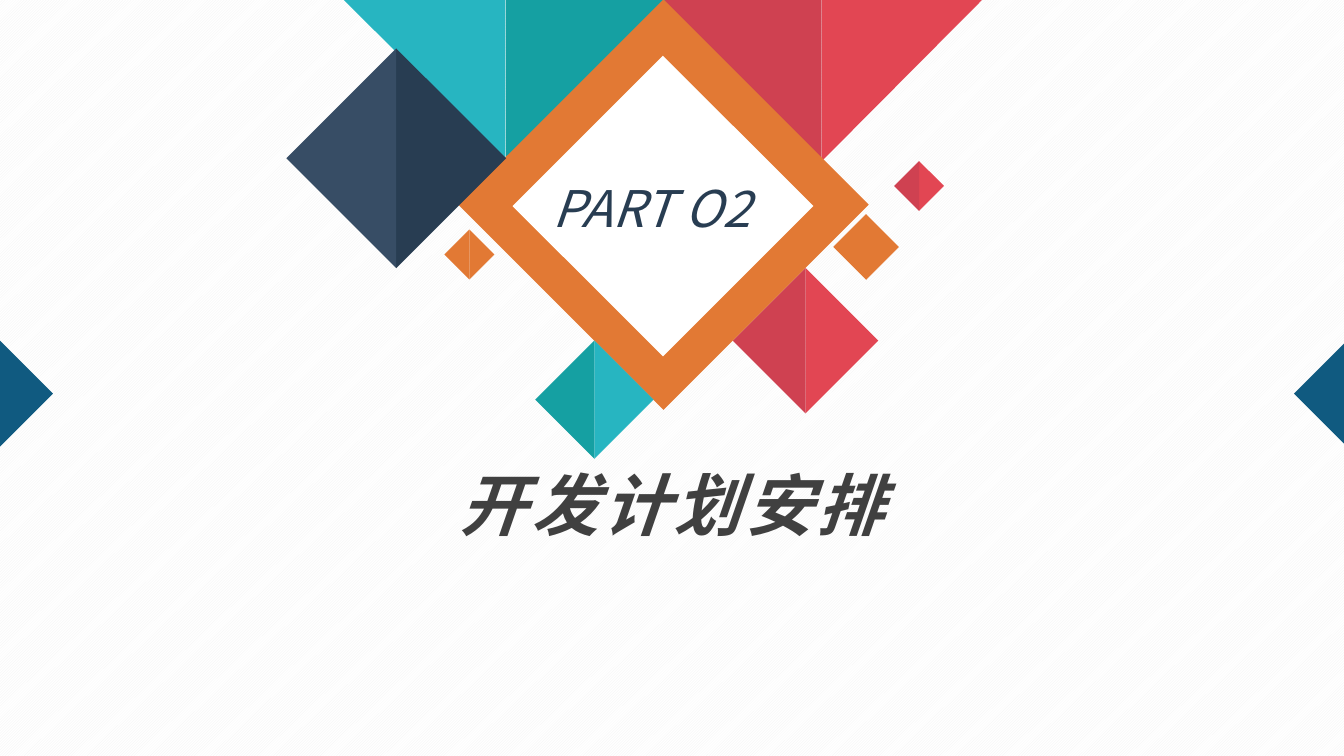
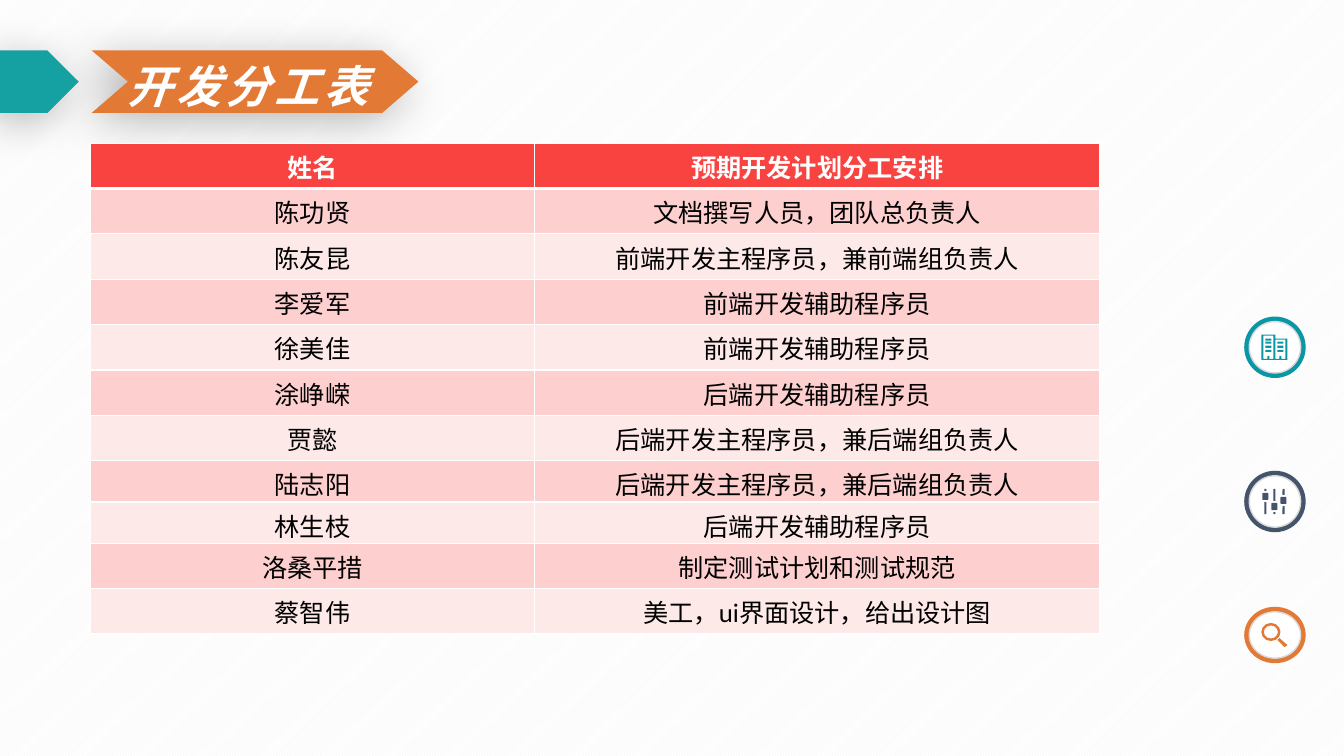
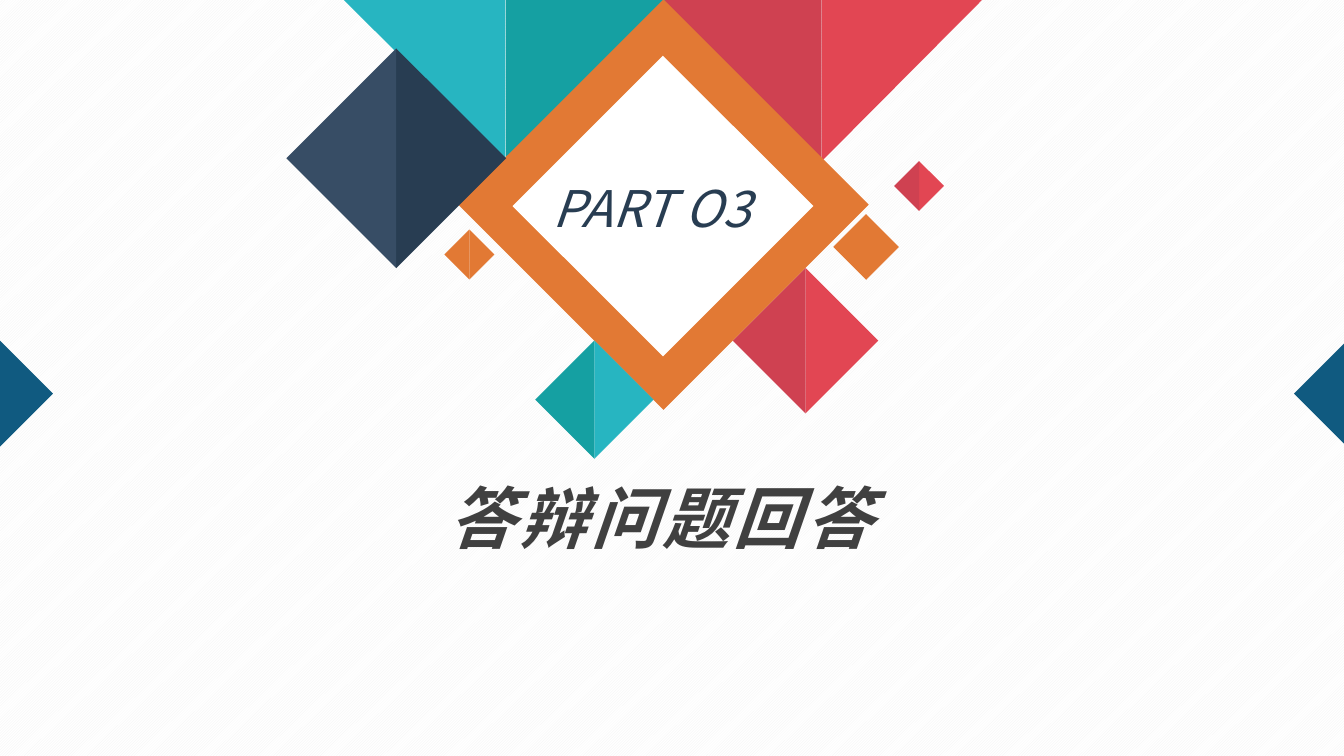
from dataclasses import dataclass

from lxml import etree
from pptx import Presentation
from pptx.dml.color import RGBColor
from pptx.enum.dml import MSO_PATTERN
from pptx.enum.shapes import MSO_SHAPE
from pptx.enum.text import MSO_ANCHOR, MSO_AUTO_SIZE, PP_ALIGN
from pptx.oxml.ns import qn
from pptx.util import Inches, Pt

RECT, TRIANGLE, OVAL = MSO_SHAPE.RECTANGLE, MSO_SHAPE.RIGHT_TRIANGLE, MSO_SHAPE.OVAL
ROUNDED, DONUT = MSO_SHAPE.ROUNDED_RECTANGLE, MSO_SHAPE.DONUT
CHEVRON, PENTAGON = MSO_SHAPE.CHEVRON, MSO_SHAPE.PENTAGON
LEFT, CENTER = PP_ALIGN.LEFT, PP_ALIGN.CENTER
TOP, GROW = MSO_ANCHOR.TOP, MSO_AUTO_SIZE.SHAPE_TO_FIT_TEXT
TITLE_ONLY = 5
# Rotations that turn the right angle of a triangle to a given side
FACE_LEFT, FACE_RIGHT, FACE_TOP_LEFT, FACE_TOP_RIGHT = 45, 225, 90, 180


@dataclass(frozen=True)
class Theme:
    white: str = "FFFFFF"
    black: str = "000000"
    stripe: str = "F2F2F2"
    heading: str = "404040"
    orange: str = "E27934"
    teal: str = "15A0A2"
    aqua: str = "27B5C1"
    red: str = "E24653"
    crimson: str = "CF4151"
    navy: str = "283D52"
    slate: str = "374D65"
    blue: str = "105A80"
    icon_teal: str = "0A96A4"
    icon_gray: str = "44546A"
    ring: str = "D9D9D9"
    table_head: str = "F94341"
    table_bands: tuple = ("FDCFCF", "FEE9E9")
    font: str = "Noto Sans CJK SC"
    table_font: str = "Lato"
    section_size: int = 48
    part_size: int = 36
    title_size: int = 32
    table_size: int = 18


T = Theme()

DUTIES = [
    ("姓名", "预期开发计划分工安排"),
    ("陈功贤", "文档撰写人员，团队总负责人"),
    ("陈友昆", "前端开发主程序员，兼前端组负责人"),
    ("李爱军", "前端开发辅助程序员"),
    ("徐美佳", "前端开发辅助程序员"),
    ("涂峥嵘", "后端开发辅助程序员"),
    ("贾懿", "后端开发主程序员，兼后端组负责人"),
    ("陆志阳", "后端开发主程序员，兼后端组负责人"),
    ("林生枝", "后端开发辅助程序员"),
    ("洛桑平措", "制定测试计划和测试规范"),
    ("蔡智伟", "美工，ui界面设计，给出设计图"),
]


def rgb(color):
    return RGBColor.from_string(color)


def paint(sp, fill, line=None):
    sp.shadow.inherit = False
    sp.fill.solid()
    sp.fill.fore_color.rgb = rgb(fill)
    if line:
        sp.line.color.rgb = rgb(line)
        sp.line.width = Pt(1)
    else:
        sp.line.fill.background()


def add_shape(shapes, kind, x, y, w, h, fill, line=None, rotation=0, adj=None):
    sp = shapes.add_shape(kind, Inches(x), Inches(y), Inches(w), Inches(h))
    sp.rotation = rotation
    if adj is not None:
        sp.adjustments[0] = adj
    paint(sp, fill, line)
    return sp


def add_outline(shapes, x, y, contours, fill):
    """Draw closed contours as one freeform; nested contours become holes."""
    builder = None
    for contour in contours:
        pts = [(Inches(x + px), Inches(y + py)) for px, py in contour]
        if builder is None:
            builder = shapes.build_freeform(*pts[0], scale=1.0)
        else:
            builder.move_to(*pts[0])
        builder.add_line_segments(pts[1:], close=True)
    paint(builder.convert_to_shape(), fill)


def write(tf, text, size, color, font=T.font, bold=False, italic=False,
          spacing=None, align=LEFT):
    p = tf.paragraphs[0]
    p.alignment = align
    r = p.add_run()
    r.text = text
    f = r.font
    f.name, f.size, f.bold, f.italic = font, Pt(size), bold, italic
    f.color.rgb = rgb(color)
    rPr = r._r.get_or_add_rPr()
    if spacing:
        rPr.set("spc", str(spacing * 100))
    ea = etree.Element(qn("a:ea"), typeface=T.font)
    rPr.find(qn("a:latin")).addnext(ea)


def place_title(s, text, x, y, w, h, size, color):
    """Format the title placeholder and bring it to the front."""
    sp = s.shapes.title
    sp.left, sp.top, sp.width, sp.height = map(Inches, (x, y, w, h))
    tf = sp.text_frame
    tf.word_wrap, tf.auto_size, tf.vertical_anchor = False, GROW, TOP
    write(tf, text, size, color, bold=True, italic=True, spacing=3)
    sp._element.getparent().append(sp._element)


def add_shadow(sp):
    effects = sp._element.spPr.find(qn("a:effectLst"))
    shadow = etree.SubElement(effects, qn("a:outerShdw"), blurRad=str(Pt(32)),
                              dist=str(Pt(8)), dir=str(135 * 60000),
                              algn="tr", rotWithShape="0")
    color = etree.SubElement(shadow, qn("a:srgbClr"), val=T.black)
    etree.SubElement(color, qn("a:alpha"), val="27000")


def add_diamond(shapes, x, y, size, left, right):
    """Two triangles, side by side, that fill a square stood on its corner."""
    for fill, rotation in ((right, FACE_RIGHT), (left, FACE_LEFT)):
        if fill:
            add_shape(shapes, TRIANGLE, x, y, size, size, fill, rotation=rotation)


def add_top_wedge(shapes, x, left, right):
    w, h = 1.6, 1.59
    add_shape(shapes, TRIANGLE, x + w, 0, w, h, right, rotation=FACE_TOP_LEFT)
    add_shape(shapes, TRIANGLE, x, 0, w, h, left, rotation=FACE_TOP_RIGHT)


def add_mosaic(s):
    g = s.shapes.add_group_shape().shapes
    add_diamond(g, 8.94, 1.67, 0.35, T.crimson, T.red)
    add_top_wedge(g, 6.55, T.crimson, T.red)
    add_top_wedge(g, 3.41, T.aqua, T.teal)
    add_shape(g, RECT, 5.14, 0.59, 2.88, 2.88, T.orange, rotation=45)
    add_shape(g, RECT, 5.52, 0.99, 2.11, 2.11, T.white, rotation=45)
    for diamond in ((3.16, 0.8, 1.54, T.slate, T.navy),
                    (8.36, 2.22, 0.46, T.orange, T.orange),
                    (7.48, 2.87, 1.02, T.crimson, T.red),
                    (5.48, 3.55, 0.83, T.teal, T.aqua),
                    (4.48, 2.35, 0.35, T.orange, T.orange),
                    (-0.38, 3.53, 0.75, None, T.blue),
                    (12.99, 3.53, 0.75, T.blue, None)):
        add_diamond(g, *diamond)


def section_slide(prs, part, title, x, y):
    s = prs.slides.add_slide(prs.slide_layouts[TITLE_ONLY])
    add_mosaic(s)
    place_title(s, title, x, y, 4.48, 0.91, T.section_size, T.heading)
    box = s.shapes.add_textbox(Inches(5.38), Inches(1.71), Inches(2.38), Inches(0.71))
    tf = box.text_frame
    tf.word_wrap, tf.auto_size = True, GROW
    write(tf, part, T.part_size, T.navy, italic=True)


def add_banner(s, title, y, h):
    add_shadow(add_shape(s.shapes, CHEVRON, 0.91, y, 3.24, h, T.orange, adj=0.58))
    add_shadow(add_shape(s.shapes, PENTAGON, 0, y, 0.78, h, T.teal, adj=0.5))
    place_title(s, title, 1.16, y + 0.03, 2.64, 0.64, T.title_size, T.white)


def set_borders(cell, top, bottom):
    tcPr = cell._tc.get_or_add_tcPr()
    for side, width in (("L", 1), ("R", 1), ("T", top), ("B", bottom)):
        ln = etree.SubElement(tcPr, qn("a:ln" + side), w=str(Pt(width)))
        fill = etree.SubElement(ln, qn("a:solidFill"))
        etree.SubElement(fill, qn("a:srgbClr"), val=T.white)


def add_duty_table(s, x, y):
    widths = (4.4, 5.61)
    heights = [0.41 if i in (7, 8) else 0.45 for i in range(len(DUTIES))]
    table = s.shapes.add_table(len(DUTIES), len(widths), Inches(x), Inches(y),
                               Inches(sum(widths)), Inches(sum(heights))).table
    for column, width in zip(table.columns, widths):
        column.width = Inches(width)
    for i, (row, texts) in enumerate(zip(table.rows, DUTIES)):
        row.height = Inches(heights[i])
        head = i == 0
        for cell, text in zip(row.cells, texts):
            cell.margin_top, cell.margin_bottom = Inches(0.05), 0
            cell.vertical_anchor = TOP
            set_borders(cell, top=3 if i == 1 else 1, bottom=3 if head else 1)
            cell.fill.solid()
            cell.fill.fore_color.rgb = rgb(T.table_head if head else T.table_bands[(i - 1) % 2])
            write(cell.text_frame, text, T.table_size, T.white if head else T.black,
                  font=T.table_font, bold=head, align=CENTER)


def box_contour(x, y, w, h):
    return [(x, y), (x + w, y), (x + w, y + h), (x, y + h)]


def tower_contour(x, top):
    """Inside wall of a tower, with a doorway cut into its foot."""
    return [(x, top), (x, 0.24), (x + 0.04, 0.24), (x + 0.04, 0.21),
            (x + 0.06, 0.21), (x + 0.06, 0.24), (x + 0.1, 0.24), (x + 0.1, top)]


def draw_buildings(shapes, x, y, color):
    walls = [(0, 0), (0.14, 0), (0.14, 0.04), (0.26, 0.04), (0.26, 0.25), (0, 0.25)]
    windows = [(0.04, wy) for wy in (0.04, 0.07, 0.11, 0.15)]
    windows += [(0.16, wy) for wy in (0.07, 0.11, 0.15)]
    contours = [walls, tower_contour(0.02, 0.01), tower_contour(0.14, 0.05)]
    contours += [box_contour(wx, wy, 0.06, 0.02) for wx, wy in windows]
    add_outline(shapes, x, y, contours, color)


def draw_sliders(shapes, x, y, color):
    for i, knob in enumerate((0.04, 0.14, 0.08)):
        left = x + 0.09 * i
        add_shape(shapes, ROUNDED, left, y + knob, 0.06, 0.07, color)
        for start, end in ((0, knob - 0.02), (knob + 0.09, 0.25)):
            add_shape(shapes, ROUNDED, left + 0.02, y + start, 0.02, end - start, color)


def draw_magnifier(shapes, x, y, color):
    add_shape(shapes, DONUT, x, y, 0.19, 0.18, color, adj=0.14)
    handle = [(0.18, 0.15), (0.26, 0.22), (0.23, 0.24), (0.16, 0.17)]
    add_outline(shapes, x, y, [handle], color)


def add_badge(s, x, y, h, color, draw_icon, icon_x, icon_y):
    w, rim = 0.61, 0.05
    g = s.shapes.add_group_shape().shapes
    add_shape(g, OVAL, x, y, w, h, color)
    add_shape(g, OVAL, x + rim, y + rim, w - 2 * rim, h - 2 * rim, T.white, line=T.ring)
    draw_icon(g, x + icon_x, y + icon_y, color)


def duty_slide(prs):
    s = prs.slides.add_slide(prs.slide_layouts[TITLE_ONLY])
    add_banner(s, "开发分工表", 0.5, 0.62)
    add_duty_table(s, 0.9, 1.42)
    add_badge(s, 12.34, 3.14, 0.61, T.icon_teal, draw_buildings, 0.17, 0.18)
    add_badge(s, 12.34, 4.67, 0.61, T.icon_gray, draw_sliders, 0.18, 0.18)
    add_badge(s, 12.34, 6.02, 0.56, T.orange, draw_magnifier, 0.17, 0.16)


def set_background(prs):
    fill = prs.slide_master.background.fill
    fill.patterned()
    fill.pattern = MSO_PATTERN.LIGHT_UPWARD_DIAGONAL
    fill.fore_color.rgb = rgb(T.stripe)
    fill.back_color.rgb = rgb(T.white)


def main():
    prs = Presentation()
    prs.slide_width, prs.slide_height = Inches(13.33), Inches(7.5)
    set_background(prs)
    section_slide(prs, "PART O2", "开发计划安排", 4.46, 4.55)
    duty_slide(prs)
    section_slide(prs, "PART O3", "答辩问题回答", 4.35, 4.68)
    prs.save("out.pptx")


if __name__ == "__main__":
    main()
